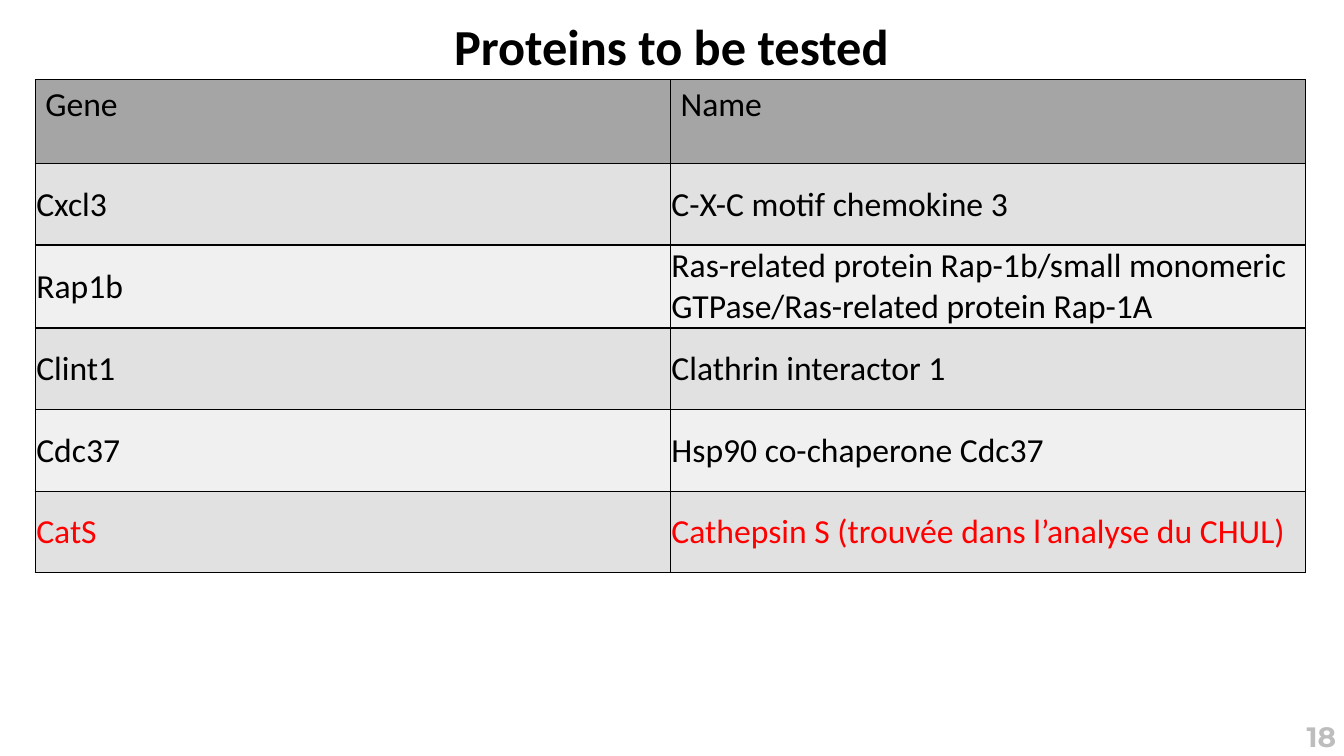
from lxml.etree import SubElement
from pptx import Presentation
from pptx.dml.color import RGBColor
from pptx.enum.text import MSO_ANCHOR as Anchor, MSO_AUTO_SIZE as AutoSize, PP_ALIGN as Align
from pptx.oxml import parse_xml
from pptx.oxml.ns import nsdecls, qn
from pptx.util import Emu, Pt

PX = 9144  # EMU in one px, 100 px to the inch

BLACK = RGBColor(0x00, 0x00, 0x00)
RED = RGBColor(0xFF, 0x00, 0x00)
HEADER_GREY = RGBColor(0xA5, 0xA5, 0xA5)
BAND_GREYS = (RGBColor(0xE1, 0xE1, 0xE1), RGBColor(0xF0, 0xF0, 0xF0))

TITLE_FORMAT = {"name": "Calibri", "size": Pt(36), "bold": True}
CELL_FORMAT = {"name": "Calibri", "size": Pt(24), "bold": False}
NUMBER_FORMAT = {"name": "Montserrat", "size": Pt(20), "bold": True}

COLUMN_WIDTH = 630
HEADER_HEIGHT, ROW_HEIGHT = 83, 81
HEADINGS = ("Gene", "Name")
PROTEINS = (
    ("Cxcl3", "C-X-C motif chemokine 3"),
    ("Rap1b", "Ras-related protein Rap-1b/small monomeric "
              "GTPase/Ras-related protein Rap-1A"),
    ("Clint1", "Clathrin interactor 1"),
    ("Cdc37", "Hsp90 co-chaperone Cdc37"),
    ("CatS", "Cathepsin S (trouvée dans l’analyse du CHUL)"),
)
HIGHLIGHTED = "CatS"


def px(length):
    return Emu(length * PX)


def write(frame, text, text_format, color=BLACK, align=Align.LEFT):
    para = frame.paragraphs[0]
    para.alignment = align
    span = para.add_run()
    span.text = text
    for name, value in text_format.items():
        setattr(span.font, name, value)
    span.font.color.rgb = color
    return span


def add_text(page, bounds, text, text_format, align, anchor):
    box = page.shapes.add_textbox(*map(px, bounds))
    frame = box.text_frame
    frame.word_wrap = True
    frame.auto_size = AutoSize.NONE
    frame.vertical_anchor = anchor
    return write(frame, text, text_format, align=align)


def set_opacity(span, percent):
    color = span.font.fill._xPr.find(f"{qn('a:solidFill')}/{qn('a:srgbClr')}")
    SubElement(color, qn("a:alpha"), val=str(percent * 1000))


def add_borders(cell):
    properties = cell._tc.get_or_add_tcPr()
    for position, side in enumerate(("lnL", "lnR", "lnT", "lnB")):
        properties.insert(position, parse_xml(
            f'<a:{side} {nsdecls("a")} w="{Pt(1)}"><a:solidFill>'
            f'<a:srgbClr val="{BLACK}"/></a:solidFill></a:{side}>'))


def fill_cell(cell, text, fill, color=BLACK):
    write(cell.text_frame, text, CELL_FORMAT, color)
    cell.fill.solid()
    cell.fill.fore_color.rgb = fill
    add_borders(cell)


def add_protein_table(page):
    height = HEADER_HEIGHT + ROW_HEIGHT * len(PROTEINS)
    frame = page.shapes.add_table(
        len(PROTEINS) + 1, len(HEADINGS),
        px(35), px(79), px(COLUMN_WIDTH * len(HEADINGS)), px(height))
    table = frame.table
    for column in table.columns:
        column.width = px(COLUMN_WIDTH)

    # Heading row
    table.rows[0].height = px(HEADER_HEIGHT)
    for cell, heading in zip(table.rows[0].cells, HEADINGS):
        fill_cell(cell, heading, HEADER_GREY)

    # Protein rows in alternating greys
    for index, protein in enumerate(PROTEINS):
        row = table.rows[index + 1]
        row.height = px(ROW_HEIGHT)
        color = RED if protein[0] == HIGHLIGHTED else BLACK
        for cell, text in zip(row.cells, protein):
            fill_cell(cell, text, BAND_GREYS[index % 2], color)
            cell.vertical_anchor = Anchor.MIDDLE
            cell.margin_left = cell.margin_right = cell.margin_top = px(1)
            cell.margin_bottom = 0


def main():
    deck = Presentation()
    deck.slide_width, deck.slide_height = px(1333), px(750)
    page = deck.slides.add_slide(deck.slide_layouts[6])

    # Title
    add_text(page, (34, 10, 1264, 71), "Proteins to be tested",
             TITLE_FORMAT, Align.CENTER, Anchor.TOP)

    # Protein list
    add_protein_table(page)

    # Page number
    number = add_text(page, (1015, 654, 320, 153), "18",
                      NUMBER_FORMAT, Align.RIGHT, Anchor.MIDDLE)
    set_opacity(number, 25)

    deck.save("out.pptx")


if __name__ == "__main__":
    main()
